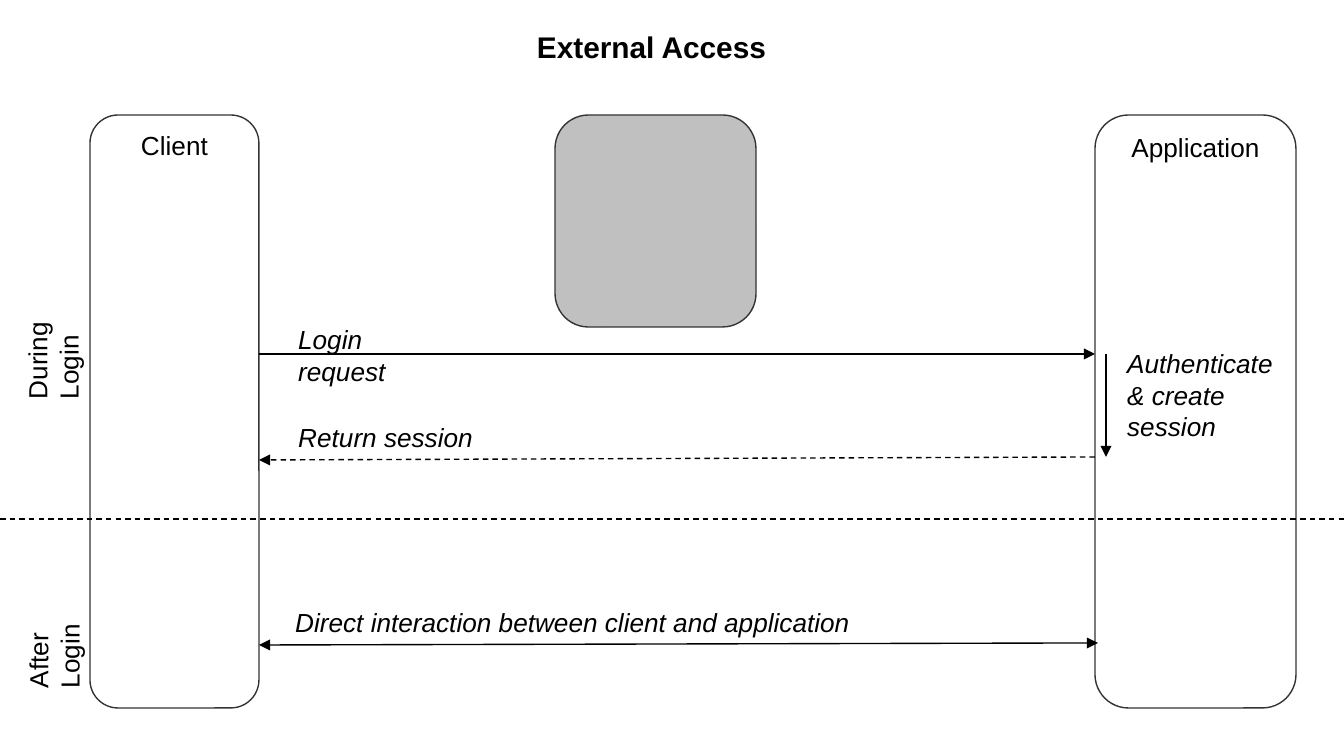
from lxml.etree import SubElement
from pptx import Presentation
from pptx.dml.color import RGBColor
from pptx.enum.dml import MSO_LINE
from pptx.enum.shapes import MSO_CONNECTOR, MSO_SHAPE
from pptx.enum.text import MSO_ANCHOR, PP_ALIGN
from pptx.oxml.ns import qn
from pptx.util import Emu, Pt

PX = 914400 / 134.4


def px(*lengths):
    """Turn px lengths into EMU."""
    return [Emu(round(n * PX)) for n in lengths]


def rgb(hex_color):
    return RGBColor.from_string(hex_color)


prs = Presentation()
prs.slide_width, prs.slide_height = px(1344, 741)
s = prs.slides.add_slide(prs.slide_layouts[6])

# Swimlanes: text, left, width, height, fill
lanes = [
    ("", 555, 201, 212, "C0C0C0"),
    ("Application", 1095, 201, 593, "FFFFFF"),
    ("Client", 90, 169, 593, "FFFFFF"),
]
for text, left, width, height, fill in lanes:
    sp = s.shapes.add_shape(MSO_SHAPE.ROUNDED_RECTANGLE, *px(left, 115, width, height))
    sp.shadow.inherit = False
    sp.fill.solid()
    sp.fill.fore_color.rgb = rgb(fill)
    sp.line.color.rgb = rgb("333333")
    sp.line.width = Pt(0.75)
    if text:
        tf = sp.text_frame
        tf.word_wrap = False
        tf.vertical_anchor = MSO_ANCHOR.TOP
        p = tf.paragraphs[0]
        p.alignment = PP_ALIGN.CENTER
        r = p.add_run()
        r.text = text
        r.font.name, r.font.size = "Arial", Pt(14)
        r.font.color.rgb = rgb("000000")

# Messages and divider: x1, y1, x2, y2, dashed, arrowheads
lines = [
    (259, 354, 1095, 354, False, ["tailEnd"]),
    (1106, 354, 1106, 457, False, ["tailEnd"]),
    (1095, 457, 259, 460, True, ["tailEnd"]),
    (259, 645, 1098, 643, False, ["headEnd", "tailEnd"]),
    (0, 519, 1344, 519, True, []),
]
for x1, y1, x2, y2, dashed, heads in lines:
    line = s.shapes.add_connector(MSO_CONNECTOR.STRAIGHT, *px(x1, y1, x2, y2))
    line.line.color.rgb = rgb("000000")
    line.line.width = Pt(0.75)
    if dashed:
        line.line.dash_style = MSO_LINE.DASH
    for head in heads:
        SubElement(line.line._get_or_add_ln(), qn(f"a:{head}"), type="triangle")
    SubElement(line._element.spPr, qn("a:effectLst"))

# Labels: paragraphs, left, top, width, height, size, style, rotation
labels = [
    (["External Access"], 523, 22, 257, 50, 16, "bold", 0),
    (["Login request"], 285, 317, 185, 46, 14, "italic", 0),
    (["Authenticate & create", "session"], 1114, 341, 194, 108, 14, "italic", 0),
    (["Return session"], 285, 415, 261, 46, 14, "italic", 0),
    (["Direct interaction between client and application"],
     282, 600, 582, 46, 14, "italic", 0),
    (["During Login"], -50, 302, 175, 46, 14, "plain", 270),
    (["After Login"], -38, 602, 153, 46, 14, "plain", 270),
]
for texts, left, top, width, height, size, style, rotation in labels:
    sp = s.shapes.add_textbox(*px(left, top, width, height))
    sp.rotation = rotation
    tf = sp.text_frame
    tf.word_wrap = len(texts) > 1
    if style == "bold":
        tf.vertical_anchor = MSO_ANCHOR.MIDDLE
    for i, text in enumerate(texts):
        p = tf.add_paragraph() if i else tf.paragraphs[0]
        p.alignment = PP_ALIGN.CENTER if style == "bold" else PP_ALIGN.LEFT
        r = p.add_run()
        r.text = text
        r.font.name, r.font.size = "Arial", Pt(size)
        r.font.bold = style == "bold"
        r.font.italic = style == "italic"
        r.font.color.rgb = rgb("000000")

prs.save("out.pptx")
